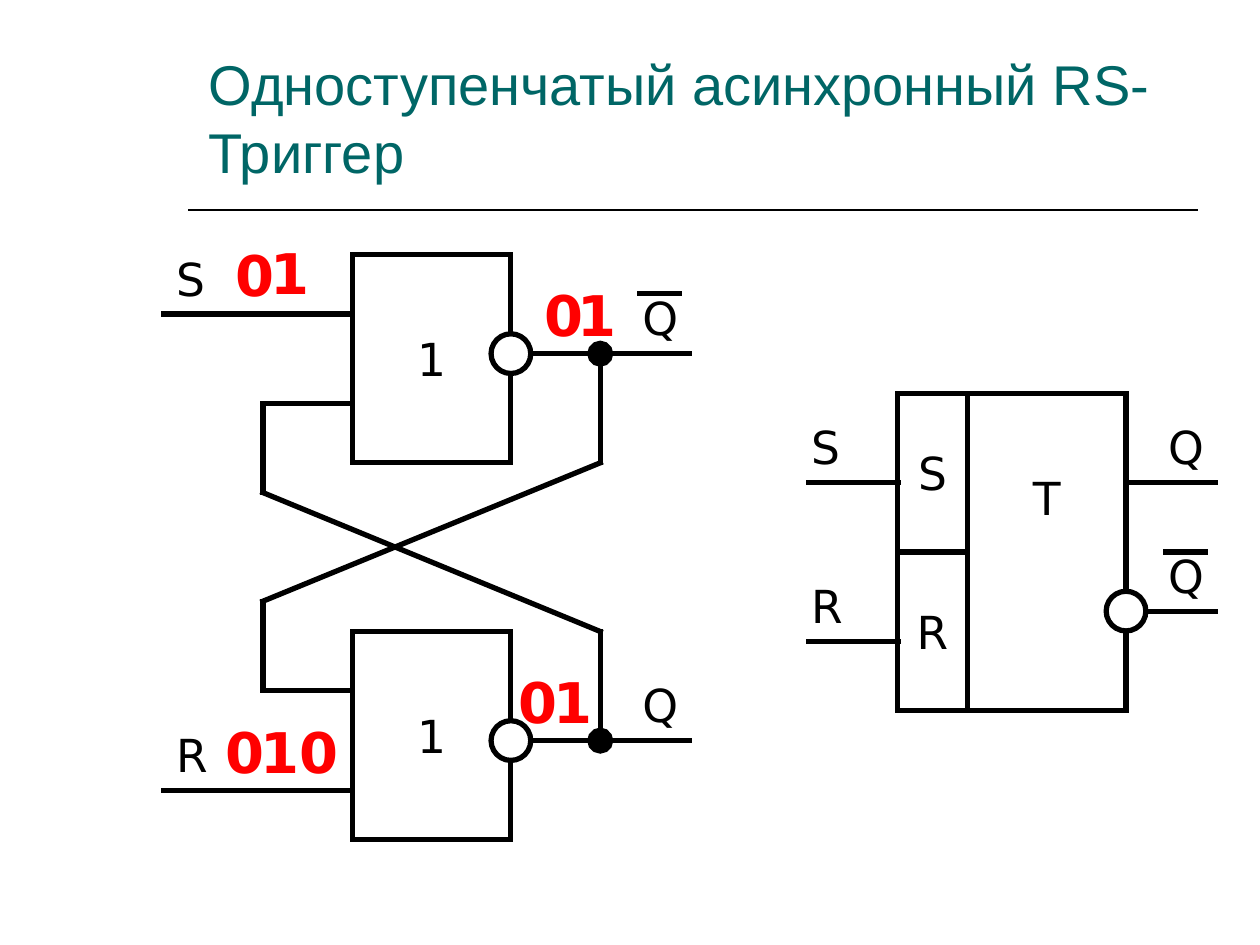
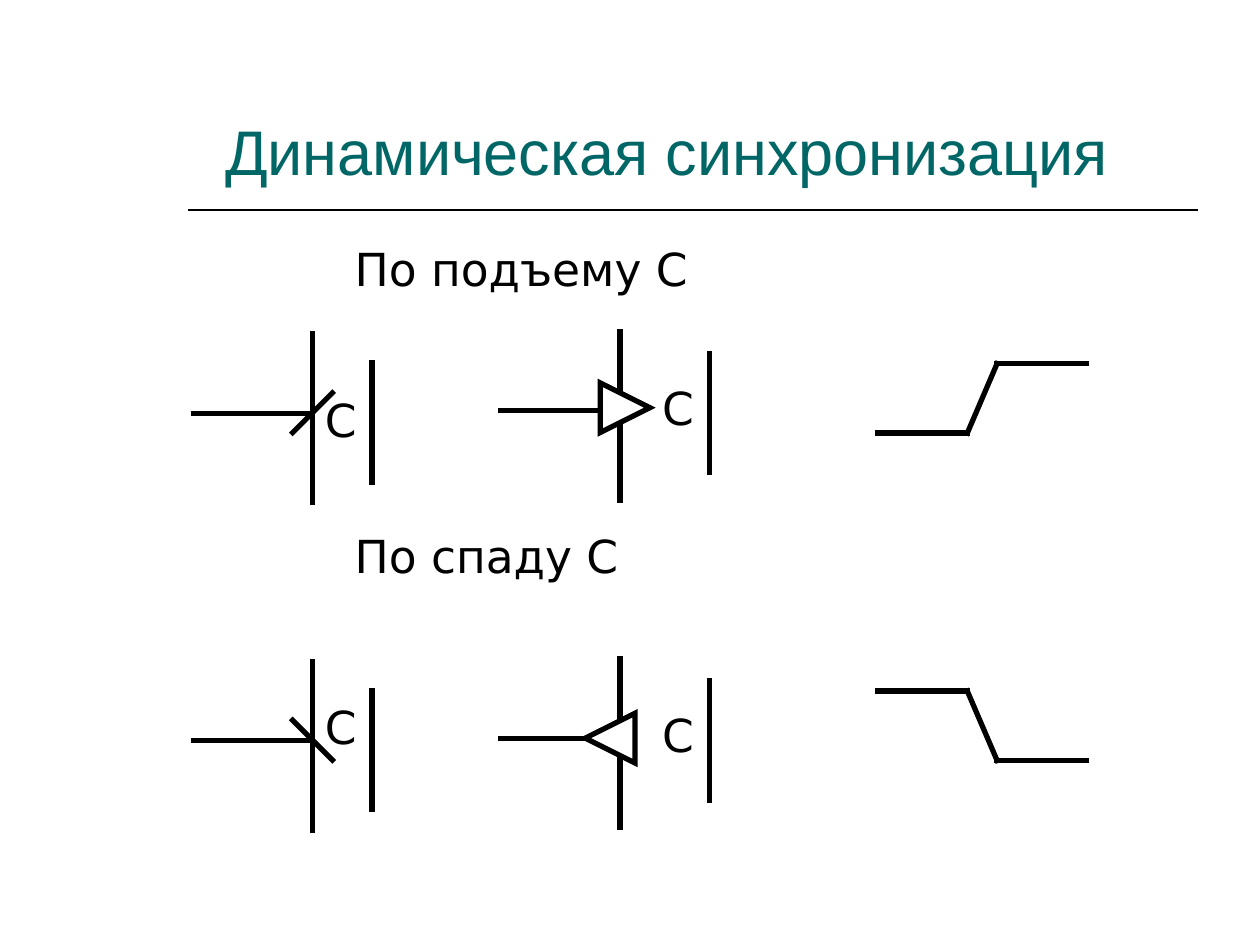
from lxml import etree
from pptx import Presentation
from pptx.dml.color import RGBColor
from pptx.enum import shapes, text
from pptx.oxml import ns
from pptx.util import Cm, Pt

BLACK = RGBColor(0x00, 0x00, 0x00)
WHITE = RGBColor(0xFF, 0xFF, 0xFF)
TEAL = RGBColor(0x00, 0x66, 0x66)
RED = RGBColor(0xFF, 0x00, 0x00)
RECT = shapes.MSO_SHAPE.RECTANGLE
OVAL = shapes.MSO_SHAPE.OVAL
TRIANGLE = shapes.MSO_SHAPE.ISOSCELES_TRIANGLE
WIRE = 3
LABEL_RISE = 1.4  # a wire's label starts this far above it
FONT, TITLE_FONT = "DejaVu Sans", "Arial"


def add_line(s, x1, y1, x2, y2, width=WIRE, dot=False):
    """Straight line with square ends, and a round node at its start if dotted."""
    c = s.shapes.add_connector(shapes.MSO_CONNECTOR.STRAIGHT,
                               Cm(x1), Cm(y1), Cm(x2), Cm(y2))
    c.line.color.rgb = BLACK
    c.line.width = Pt(width)
    ln = c._element.spPr.find(ns.qn("a:ln"))
    ln.set("cap", "sq")
    if dot:
        etree.SubElement(ln, ns.qn("a:headEnd"), type="oval", w="lg", len="lg")
    etree.SubElement(c._element.spPr, ns.qn("a:effectLst"))


def add_box(s, x, y, w, h, label="", kind=None, size=26, color=BLACK,
            font=FONT, bold=False):
    """Outlined shape with a centred label, or a plain text box without a kind."""
    if kind is None:
        sp = s.shapes.add_textbox(Cm(x), Cm(y), Cm(w), Cm(h))
    else:
        sp = s.shapes.add_shape(kind, Cm(x), Cm(y), Cm(w), Cm(h))
        sp.shadow.inherit = False
        sp.fill.solid()
        sp.fill.fore_color.rgb = WHITE
        sp.line.color.rgb = BLACK
        sp.line.width = Pt(WIRE)
        ln = sp._element.spPr.find(ns.qn("a:ln"))
        etree.SubElement(ln, ns.qn("a:miter"), lim="800000")
    if label:
        tf = sp.text_frame
        tf.text = label
        tf.word_wrap = kind is None
        if kind is not None:
            tf.vertical_anchor = text.MSO_ANCHOR.MIDDLE
            tf.paragraphs[0].alignment = text.PP_ALIGN.CENTER
        r = tf.paragraphs[0].runs[0]
        r.font.name, r.font.size, r.font.bold = font, Pt(size), bold
        r.font.color.rgb = color
        r._r.get_or_add_rPr().set("kern", "0")
    return sp


prs = Presentation()
prs.slide_width, prs.slide_height = Cm(25.4), Cm(19.05)

# Titles and the rule below them
slides = []
for title, size, place in [
    ("Одноступенчатый асинхронный RS-Триггер", 32, (3.96, 0.97, 20.02, 2.87)),
    ("Динамическая синхронизация", 36, (4.29, 0.2, 19.91, 3.71)),
]:
    s = prs.slides.add_slide(prs.slide_layouts[6])
    add_line(s, 3.81, 4.24, 24.13, 4.24, width=1)
    sp = add_box(s, *place, title, size=size, color=TEAL, font=TITLE_FONT)
    sp.text_frame.vertical_anchor = text.MSO_ANCHOR.BOTTOM
    slides.append(s)

# Slide 1: trigger symbol
s = slides[0]
for name, top, wire_y in [("S", 7.93, 9.73), ("R", 11.13, 12.93)]:
    add_box(s, 18.1, top, 1.4, 3.2, name, RECT)
    add_line(s, 16.3, wire_y, 18.1, wire_y)
    add_box(s, 16.1, wire_y - LABEL_RISE, 1.8, 1.37, name)
sp = add_box(s, 19.5, 7.93, 3.2, 6.4, "T", RECT)
sp.text_frame.margin_bottom = Cm(2.34)
for out_y in (9.73, 12.33):
    add_line(s, 22.7, out_y, 24.5, out_y)
    add_box(s, 23.3, out_y - LABEL_RISE, 1.8, 1.37, "Q")
add_box(s, 22.3, 11.92, 0.8, 0.8, kind=OVAL)

# Two cross-coupled gates
GATE_X, GATE_W, GATE_H = 7.1, 3.2, 4.2
LOOP_X, NODE_X = 5.3, 12.1
for name, top, in_y, out_y, loop_y, loop_end, node_end, other_end in [
    ("S", 5.13, 6.33, 7.13, 8.13, 9.93, 9.33, 12.12),
    ("R", 12.73, 15.93, 14.93, 13.92, 12.12, 12.73, 9.93),
]:
    right = GATE_X + GATE_W
    add_line(s, right, out_y, 13.9, out_y)
    add_box(s, GATE_X, top, GATE_W, GATE_H, "1", RECT)
    add_box(s, right - 0.4, out_y - 0.4, 0.8, 0.8, kind=OVAL)
    add_line(s, 3.3, in_y, GATE_X, in_y)
    add_box(s, 3.3, in_y - LABEL_RISE, 1.8, 1.37, name)
    add_box(s, 12.7, out_y - LABEL_RISE, 1.8, 1.37, "Q")
    # Feedback from the output node to the other gate
    add_line(s, NODE_X, out_y, NODE_X, node_end, dot=True)
    add_line(s, NODE_X, node_end, LOOP_X, other_end)
    add_line(s, LOOP_X, loop_y, GATE_X, loop_y)
    add_line(s, LOOP_X, loop_y, LOOP_X, loop_end)

# Bars over the inverted outputs
for x, y in [(12.9, 5.92), (23.5, 11.13)]:
    add_line(s, x, y, x + 0.8, y)

# Signal values, in the order they are stacked
for digit, x, y in [
    ("1", 10.9, 13.34), ("0", 10.72, 5.54), ("0", 4.5, 4.72),
    ("0", 4.29, 14.33), ("1", 5.0, 14.33), ("0", 10.21, 13.34),
    ("1", 11.4, 5.54), ("0", 5.79, 14.33), ("1", 5.21, 4.69),
]:
    add_box(s, x, y, 1.4, 1.63, digit, size=32, color=RED, bold=True)

# Slide 2: one row of symbols per clock edge
s = slides[1]
for caption, caption_y, dy, rising, c1_y, c2_y, arrow_x, arrow_y in [
    ("По подъему С", 4.74, 0, True, 7.77, 7.53, 12.1, 7.72),
    ("По спаду С", 10.53, 6.6, False, 13.97, 14.13, 11.8, 14.38),
]:
    add_box(s, 6.9, caption_y, 7.4, 1.37, caption)
    # Input with a slash
    add_line(s, 3.91, 8.33 + dy, 6.3, 8.33 + dy)
    add_line(s, 6.3, 6.73 + dy, 6.3, 10.13 + dy)
    add_line(s, 7.5, 7.32 + dy, 7.5, 9.72 + dy)
    add_box(s, 6.3, c1_y, 1.8, 1.37, "С")
    start, end = (8.72, 7.92) if rising else (7.92, 8.72)
    add_line(s, 5.9, start + dy, 6.7, end + dy)
    # Input with a triangle
    add_line(s, 10.1, 8.28 + dy, 12.5, 8.28 + dy)
    add_line(s, 12.5, 6.68 + dy, 12.5, 10.08 + dy)
    add_line(s, 14.3, 7.13 + dy, 14.3, 9.53 + dy)
    add_box(s, 13.1, c2_y, 1.8, 1.37, "С")
    sp = add_box(s, arrow_x, arrow_y, 1, 1, kind=TRIANGLE)
    sp.rotation = 90 if rising else 270
    # Clock edge
    before, after = (8.73, 7.33) if rising else (7.33, 8.73)
    add_line(s, 17.7, before + dy, 19.5, before + dy)
    add_line(s, 19.5, before + dy, 20.1, after + dy)
    add_line(s, 20.1, after + dy, 21.9, after + dy)

prs.save("out.pptx")
